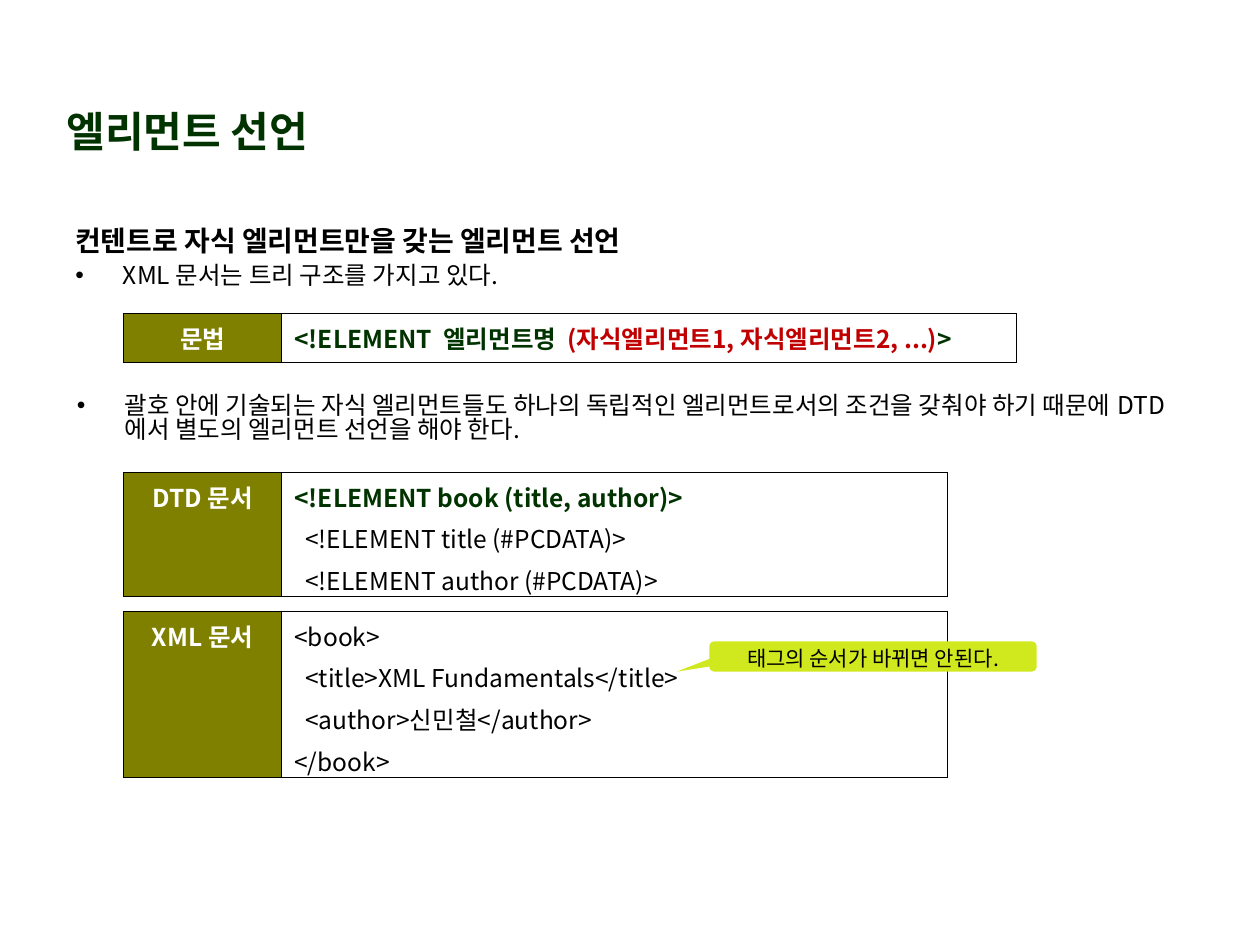
"""Build the slide on declaring XML elements that hold only child elements."""
from dataclasses import dataclass
from typing import List, Optional

from lxml import etree
from pptx import Presentation
from pptx import util as u
from pptx.dml.color import RGBColor
from pptx.enum import shapes, text
from pptx.oxml import ns

FONT = "Noto Sans CJK KR"
BLACK, WHITE, GREEN, RED = "000000", "FFFFFF", "003300", "C00000"
OLIVE, LIME = "808000", "D0E81E"
TABLE_LEFT, LABEL_WIDTH = 2.49, 3.19
INDENT = 0.96


@dataclass
class Run:
    words: str
    color: str = BLACK
    bold: bool = False
    size: float = 14


@dataclass
class Line:
    runs: List[Run]
    bullet: bool = False
    centered: bool = False
    spacing: Optional[float] = None


@dataclass
class Box:
    left: float
    top: float
    width: float
    height: float

    def lengths(self):
        """Return the four lengths as Cm values."""
        return [u.Cm(value) for value in (self.left, self.top, self.width, self.height)]


@dataclass
class Syntax:
    label: str
    top: float
    content_width: float
    height: float
    lines: List[Line]


def color(value: str) -> RGBColor:
    """Turn a hex string into a colour."""
    return RGBColor.from_string(value)


def add_bullet(paragraph) -> None:
    """Give a paragraph a hanging round bullet."""
    properties = paragraph._p.get_or_add_pPr()
    properties.set("marL", str(u.Cm(INDENT)))
    properties.set("indent", str(-u.Cm(INDENT)))
    bullet_color = etree.SubElement(properties, ns.qn("a:buClr"))
    etree.SubElement(bullet_color, ns.qn("a:srgbClr"), val=BLACK)
    etree.SubElement(properties, ns.qn("a:buFont"), typeface="Arial")
    etree.SubElement(properties, ns.qn("a:buChar"), char="•")


def write(frame, lines: List[Line]) -> None:
    """Fill a text frame with lines, run by run."""
    frame.word_wrap = True
    for index, line in enumerate(lines):
        paragraph = frame.add_paragraph() if index else frame.paragraphs[0]
        if line.bullet:
            add_bullet(paragraph)
        paragraph.alignment = text.PP_ALIGN.CENTER if line.centered else text.PP_ALIGN.LEFT
        if index:
            paragraph.space_before = u.Pt(3.5)
        if line.spacing:
            paragraph.line_spacing = line.spacing
        for part in line.runs:
            run = paragraph.add_run()
            run.text = part.words
            run.font.name = FONT
            run.font.size = u.Pt(part.size)
            run.font.bold = part.bold
            run.font.color.rgb = color(part.color)
            etree.SubElement(run.font._element, ns.qn("a:ea"), typeface=FONT)


def add_title(slide, box: Box, words: str) -> None:
    """Move the title placeholder and write the heading in it."""
    title = slide.shapes.title
    title.left, title.top, title.width, title.height = box.lengths()
    frame = title.text_frame
    frame.auto_size = text.MSO_AUTO_SIZE.NONE
    frame.vertical_anchor = text.MSO_ANCHOR.MIDDLE
    write(frame, [Line([Run(words, GREEN, True, 24)])])


def add_text(slide, box: Box, lines: List[Line]) -> None:
    """Add a plain text box."""
    write(slide.shapes.add_textbox(*box.lengths()).text_frame, lines)


def add_borders(cell) -> None:
    """Draw thin black lines on all sides of a cell."""
    properties = cell._tc.get_or_add_tcPr()
    for index, side in enumerate(("lnL", "lnR", "lnT", "lnB")):
        border = etree.Element(ns.qn(f"a:{side}"), w=str(u.Pt(0.45)))
        fill = etree.SubElement(border, ns.qn("a:solidFill"))
        etree.SubElement(fill, ns.qn("a:srgbClr"), val=BLACK)
        properties.insert(index, border)


def add_syntax(slide, syntax: Syntax) -> None:
    """Add a one-row table with a label and its code."""
    box = Box(TABLE_LEFT, syntax.top, LABEL_WIDTH + syntax.content_width, syntax.height)
    table = slide.shapes.add_table(1, 2, *box.lengths()).table
    table.first_row = table.horz_banding = False
    label = [Line([Run(syntax.label, WHITE, True)], centered=True)]
    columns = ((LABEL_WIDTH, OLIVE, label), (syntax.content_width, WHITE, syntax.lines))
    for index, (width, fill, lines) in enumerate(columns):
        table.columns[index].width = u.Cm(width)
        cell = table.cell(0, index)
        cell.fill.solid()
        cell.fill.fore_color.rgb = color(fill)
        add_borders(cell)
        write(cell.text_frame, lines)


def add_callout(slide, box: Box, words: str) -> None:
    """Add the rounded callout that points at the code."""
    callout = slide.shapes.add_shape(shapes.MSO_SHAPE.ROUNDED_RECTANGULAR_CALLOUT, *box.lengths())
    for index, value in enumerate((-0.6, 0.5, 0.17)):
        callout.adjustments[index] = value
    callout.shadow.inherit = False
    callout.fill.solid()
    callout.fill.fore_color.rgb = color(LIME)
    callout.line.fill.background()
    frame = callout.text_frame
    frame.vertical_anchor = text.MSO_ANCHOR.TOP
    frame.margin_top = u.Cm(0.05)
    write(frame, [Line([Run(words, size=12)], centered=True)])


def code(*rows: str) -> List[Line]:
    """Return plain code lines."""
    return [Line([Run(row)]) for row in rows]


def main() -> None:
    """Build and save the presentation."""
    presentation = Presentation()
    presentation.slide_width, presentation.slide_height = u.Cm(25.4), u.Cm(19.05)
    slide = presentation.slides.add_slide(presentation.slide_layouts[5])
    add_title(slide, Box(1.09, 1.93, 11.2, 1.4), "엘리먼트 선언")
    add_text(slide, Box(1.27, 4.45, 22.83, 1.68), [
        Line([Run("컨텐트로 자식 엘리먼트만을 갖는 엘리먼트 선언", bold=True, size=16)], spacing=0.9),
        Line([Run("XML 문서는 트리 구조를 가지고 있다.")], bullet=True, spacing=0.9),
    ])
    add_text(slide, Box(1.3, 7.85, 22.83, 1.47), [
        Line([Run("괄호 안에 기술되는 자식 엘리먼트들도 하나의 독립적인 엘리먼트로서의 조건을 "
                  "갖춰야 하기 때문에 DTD에서 별도의 엘리먼트 선언을 해야 한다.")],
             bullet=True, spacing=0.82),
    ])
    grammar = [Line([
        Run("<!ELEMENT  엘리먼트명  ", GREEN, True),
        Run("(자식엘리먼트1, 자식엘리먼트2, ...)", RED, True),
        Run(">", GREEN, True),
    ])]
    declarations = [Line([Run("<!ELEMENT book (title, author)>", GREEN, True)])] + code(
        "  <!ELEMENT title (#PCDATA)>", "  <!ELEMENT author (#PCDATA)>")
    document = code("<book>", "  <title>XML Fundamentals</title>",
                    "  <author>신민철</author>", "</book>")
    for syntax in (
        Syntax("문법", 6.32, 14.81, 0.99, grammar),
        Syntax("DTD 문서", 9.52, 13.41, 2.51, declarations),
        Syntax("XML 문서", 12.32, 13.41, 3.35, document),
    ):
        add_syntax(slide, syntax)
    add_callout(slide, Box(14.3, 12.93, 6.6, 0.61), "태그의 순서가 바뀌면 안된다.")
    presentation.save("out.pptx")


if __name__ == "__main__":
    main()
